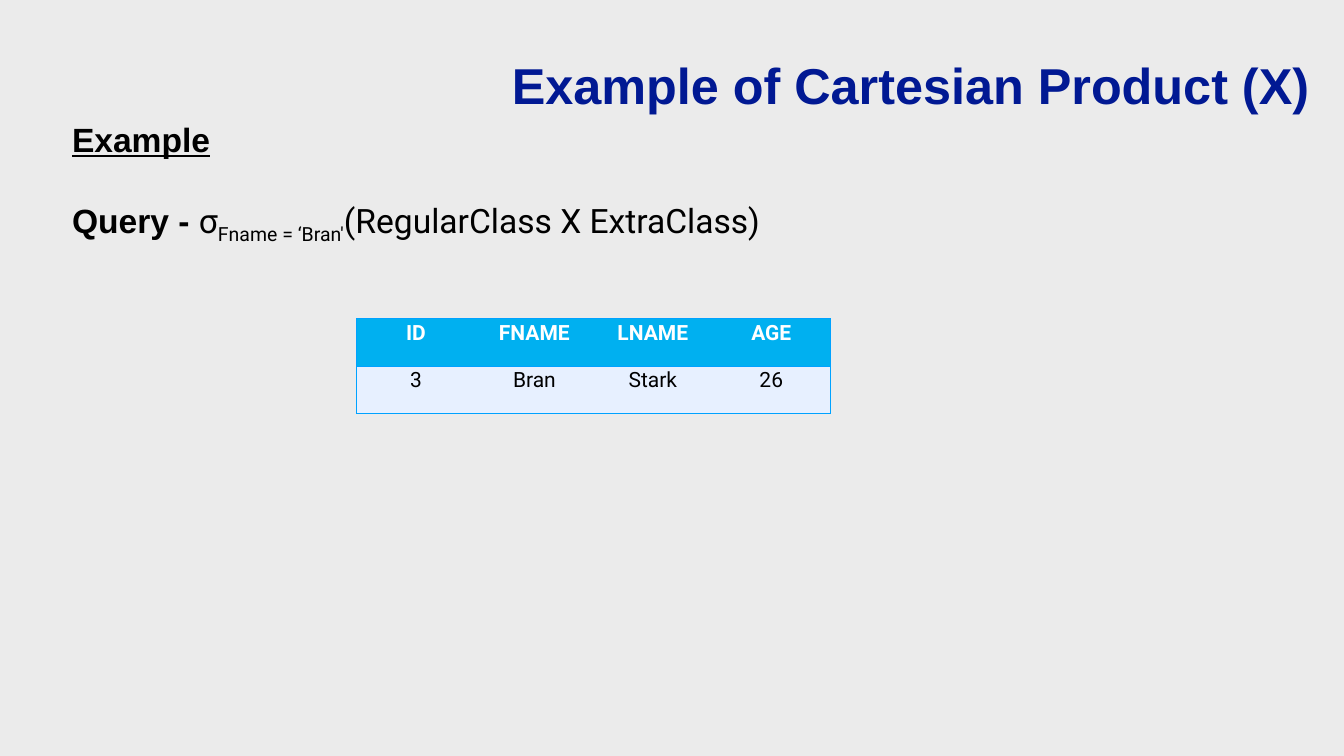
"""Build the slide showing a selection over a Cartesian product."""
from lxml import etree
from pptx import Presentation
from pptx.dml.color import RGBColor
from pptx.enum.text import MSO_ANCHOR, PP_ALIGN
from pptx.oxml.ns import qn
from pptx.util import Cm, Pt

MIDDLE = MSO_ANCHOR.MIDDLE
CENTER, RIGHT = PP_ALIGN.CENTER, PP_ALIGN.RIGHT
BLACK, WHITE, NAVY = "000000", "FFFFFF", "011993"
BORDER = "00A2FF"


def color(value):
    return RGBColor.from_string(value)


def style(span, name, size, value, bold=False):
    span.font.name = name
    span.font.size = Pt(size)
    span.font.bold = bold
    span.font.color.rgb = color(value)


deck = Presentation()
deck.slide_width, deck.slide_height = Cm(67.74), Cm(38.1)
page = deck.slides.add_slide(deck.slide_layouts[6])
page.background.fill.solid()
page.background.fill.fore_color.rgb = color("EBEBEB")

body = page.shapes.add_textbox(Cm(3.38), Cm(5.87), Cm(56.64), Cm(12.57)).text_frame
body.word_wrap = True
body.text = "Example"
heading = body.paragraphs[0].runs[0]
style(heading, "Arial", 48, BLACK, True)
heading.font.underline = True

query = body.add_paragraph()
query.space_before = Pt(58)
query_parts = [
    ("Query - ", "Arial", True, 0),
    ("σ", "Roboto", False, 0),
    ("Fname = ‘Bran'", "Roboto", False, -25000),
    ("(RegularClass Χ ExtraClass)", "Roboto", False, 0),
]
for text, name, bold, baseline in query_parts:
    span = query.add_run()
    span.text = text
    style(span, name, 48, BLACK, bold)
    if baseline:
        span._r.get_or_add_rPr().set("baseline", str(baseline))

title = page.shapes.add_textbox(Cm(3.94), Cm(2.57), Cm(62.23), Cm(3.35)).text_frame
title.word_wrap = True
title.vertical_anchor = MIDDLE
title.margin_left = title.margin_right = Cm(0.15)
title.margin_top = title.margin_bottom = Cm(0.15)
title.text = "Example of Cartesian Product (Χ)"
title.paragraphs[0].alignment = RIGHT
style(title.paragraphs[0].runs[0], "Arial", 72, NAVY, True)

rows = [["ID", "FNAME", "LNAME", "AGE"], ["3", "Bran", "Stark", "26"]]
row_styles = [("00B0F0", WHITE, True), ("E7F0FF", BLACK, False)]
last_column = len(rows[0]) - 1
table = page.shapes.add_table(
    len(rows), len(rows[0]), Cm(17.98), Cm(16.05), Cm(23.88), Cm(4.78)
).table
for row, (values, (fill, text_color, bold)) in enumerate(zip(rows, row_styles)):
    for column, value in enumerate(values):
        cell = table.cell(row, column)
        cell.text = value
        para = cell.text_frame.paragraphs[0]
        para.alignment = CENTER
        style(para.runs[0], "Roboto", 30, text_color, bold)
        visible = {"L": column == 0, "R": column == last_column, "T": True, "B": True}
        properties = cell._tc.get_or_add_tcPr()
        for side, shown in visible.items():
            line = etree.SubElement(properties, qn(f"a:ln{side}"), w=str(Pt(1)))
            paint = etree.SubElement(line, qn("a:solidFill" if shown else "a:noFill"))
            if shown:
                etree.SubElement(paint, qn("a:srgbClr"), val=BORDER)
        cell.fill.solid()
        cell.fill.fore_color.rgb = color(fill)

deck.save("out.pptx")
